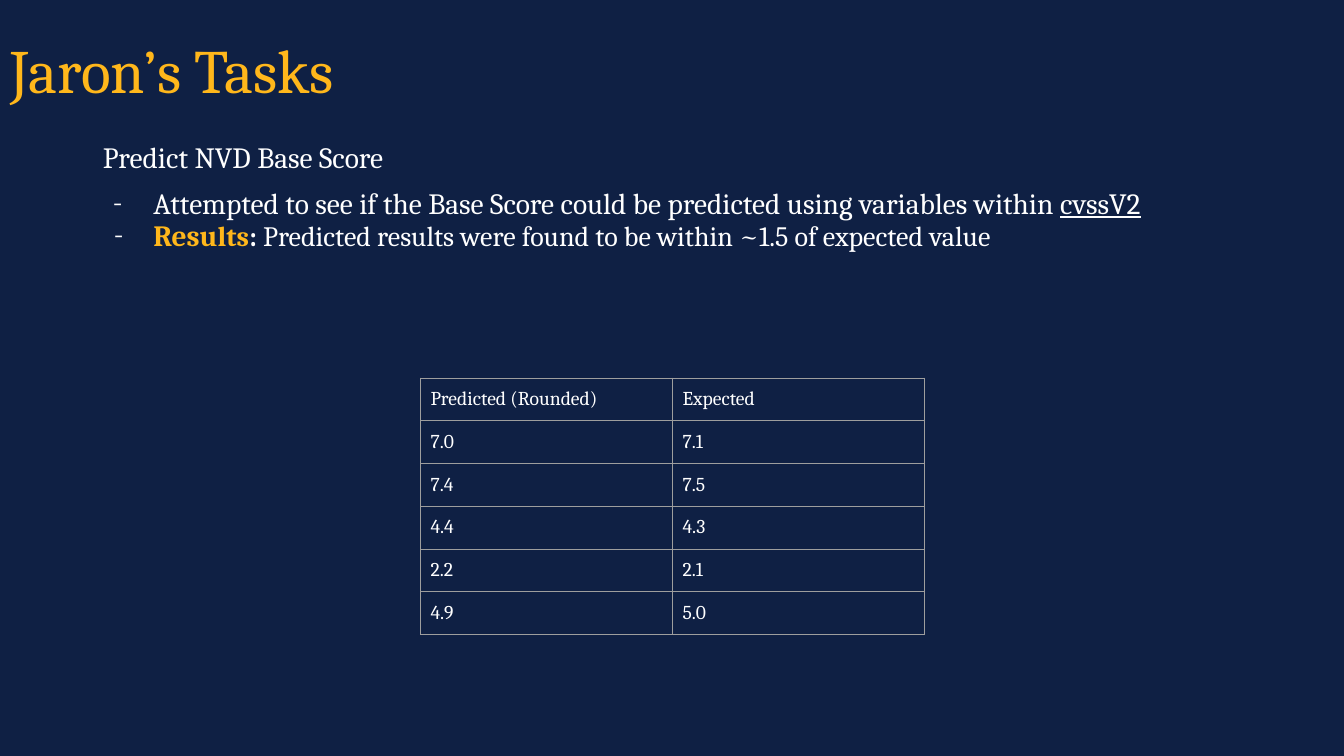
import dataclasses

import pptx
import pptx.dml.color
import pptx.enum.text
import pptx.oxml
import pptx.oxml.ns
import pptx.util

Inches, Pt = pptx.util.Inches, pptx.util.Pt
RGB = pptx.dml.color.RGBColor.from_string


@dataclasses.dataclass(frozen=True)
class Theme:
    """Colours, font and type sizes of the slide."""
    navy: str = "0F2044"
    gold: str = "FFB71B"
    white: str = "FFFFFF"
    border: str = "9E9E9E"
    font: str = "Cambria"
    title: float = 44
    lead: float = 21
    result: float = 20
    cell: float = 14


THEME = Theme()

BODY = [
    (dict(space_before=Pt(10)), None, [("Predict NVD Base Score", {})]),
    (dict(space_before=Pt(10)), -0.4, [
        ("Attempted to see if the Base Score could be predicted using variables within ", {}),
        ("cvssV2", dict(underline=True))]),
    (dict(space_before=Pt(0)), -0.39, [
        ("Resu", dict(bold=True, color=THEME.gold)),
        ("lts", dict(bold=True, color=THEME.gold, size=Pt(THEME.result))),
        (":", dict(bold=True, size=Pt(THEME.result))),
        (" Predicted results were found to be within ~1.5 of expected value",
         dict(size=Pt(THEME.result)))]),
]

SCORES = [
    ("Predicted (Rounded)", "Expected"),
    ("7.0", "7.1"),
    ("7.4", "7.5"),
    ("4.4", "4.3"),
    ("2.2", "2.1"),
    ("4.9", "5.0"),
]


def apply(target, values):
    """Set every attribute named in values on target."""
    for name, value in values.items():
        setattr(target, name, value)


def add_run(p, text, size, color=THEME.white, **fmt):
    """Add a run in the theme font to a paragraph."""
    r = p.add_run()
    r.text = text
    apply(r.font, {"name": THEME.font, "size": size, **fmt})
    r.font.color.rgb = RGB(color)


def add_xml(parent, xml):
    """Append a DrawingML fragment to an element."""
    ns = pptx.oxml.ns.nsdecls("a")
    parent.append(pptx.oxml.parse_xml(xml.replace("<a:", "<a:", 1).replace(" ", f" {ns} ", 1)))


def set_bullet(p, indent):
    """Give a paragraph a hanging dash, or no bullet when indent is None."""
    pPr = p._p.get_or_add_pPr()
    pPr.set("marL", str(Inches(0 if indent is None else 0.5)))
    pPr.set("indent", str(Inches(indent or 0)))
    if indent is None:
        add_xml(pPr, "<a:buNone />")
        return
    add_xml(pPr, f'<a:buClr ><a:srgbClr val="{THEME.white}"/></a:buClr>')
    add_xml(pPr, f'<a:buFont typeface="{THEME.font}"/>')
    add_xml(pPr, '<a:buChar char="-"/>')


def place(sp, box, anchor):
    """Move a placeholder to its box and return its text frame."""
    apply(sp, dict(zip(("left", "top", "width", "height"), map(Inches, box))))
    tf = sp.text_frame
    apply(tf, dict(vertical_anchor=anchor, word_wrap=True,
                   auto_size=pptx.enum.text.MSO_AUTO_SIZE.NONE))
    return tf


def fill_title(sp, box, text):
    """Write the slide title."""
    p = place(sp, box, pptx.enum.text.MSO_ANCHOR.MIDDLE).paragraphs[0]
    apply(p, dict(alignment=pptx.enum.text.PP_ALIGN.LEFT, line_spacing=0.9))
    add_run(p, text, Pt(THEME.title), THEME.gold)


def fill_body(sp, box, items):
    """Write the lead line and its dashed points."""
    tf = place(sp, box, pptx.enum.text.MSO_ANCHOR.TOP)
    for i, (spacing, indent, runs) in enumerate(items):
        p = tf.add_paragraph() if i else tf.paragraphs[0]
        apply(p, dict(line_spacing=0.9, **spacing))
        set_bullet(p, indent)
        for text, fmt in runs:
            add_run(p, text, **{"size": Pt(THEME.lead), **fmt})


def fill_cell(cell, text):
    """Write one table cell with thin borders and no fill."""
    apply(cell, dict.fromkeys(
        ("margin_left", "margin_top", "margin_right", "margin_bottom"), Inches(0.1)))
    add_run(cell.text_frame.paragraphs[0], text, Pt(THEME.cell))
    tcPr = cell._tc.get_or_add_tcPr()
    for side in "LRTB":
        add_xml(tcPr, f'<a:ln{side} w="{Pt(0.75)}"><a:solidFill>'
                      f'<a:srgbClr val="{THEME.border}"/></a:solidFill></a:ln{side}>')
    cell.fill.background()


def add_scores(s, box, rows):
    """Add the table of predicted and expected scores."""
    table = s.shapes.add_table(len(rows), len(rows[0]), *map(Inches, box)).table
    apply(table, dict(first_row=False, horz_banding=False))
    for i, row in enumerate(rows):
        for j, text in enumerate(row):
            fill_cell(table.cell(i, j), text)


def build_slide(prs):
    """Build the tasks slide."""
    s = prs.slides.add_slide(prs.slide_layouts[1])
    s.background.fill.solid()
    s.background.fill.fore_color.rgb = RGB(THEME.navy)
    fill_title(s.shapes.title, (0, 0, 11.5, 1.45), "Jaron’s Tasks")
    fill_body(s.placeholders[1], (0.92, 1.37, 11.5, 4.76), BODY)
    add_scores(s, (4.17, 3.75, 5, 2.54), SCORES)


def main():
    """Create and save the presentation."""
    prs = pptx.Presentation()
    apply(prs, dict(slide_width=Inches(13.33), slide_height=Inches(7.5)))
    build_slide(prs)
    prs.save("out.pptx")


if __name__ == "__main__":
    main()
